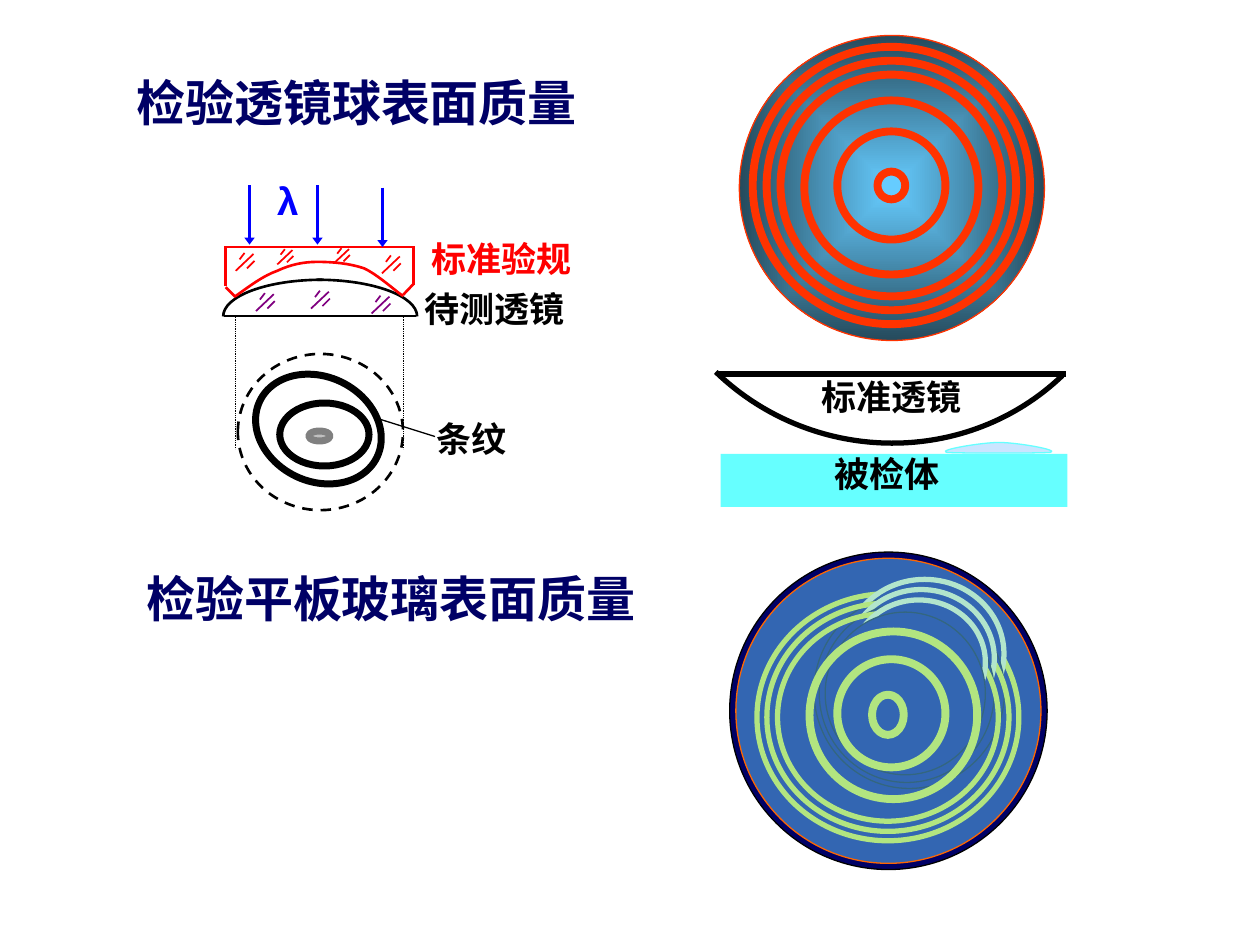
import copy
from dataclasses import dataclass

import pptx
import pptx.dml.color
import pptx.enum.dml
import pptx.enum.shapes
import pptx.enum.text
import pptx.oxml
import pptx.oxml.ns
import pptx.util
from lxml import etree

Cm = pptx.util.Cm
Pt = pptx.util.Pt
qn = pptx.oxml.ns.qn
Align = pptx.enum.text.PP_ALIGN
Anchor = pptx.enum.text.MSO_ANCHOR
Preset = pptx.enum.shapes.MSO_SHAPE
Dash = pptx.enum.dml.MSO_LINE


@dataclass(frozen=True)
class Theme:
    navy: str = "000066"
    black: str = "000000"
    red: str = "FF0000"
    blue: str = "0000FF"
    purple: str = "800080"
    ring: str = "FF3300"
    sky: str = "66CCFF"
    deep: str = "254A5C"
    yellow: str = "FFFF00"
    pale: str = "FFFF99"
    orange: str = "FF6600"
    aqua: str = "66FFFF"
    mist: str = "99CCFF"
    silver: str = "C0C0C0"
    gray: str = "808080"
    heading: int = 28
    symbol: int = 22
    label: int = 20
    heading_font: str = "Noto Sans CJK SC"
    label_font: str = "Times New Roman"
    symbol_font: str = "Arial"


THEME = Theme()
ROOMY = (0.25, 0.13)
HATCH = [(0.18, -0.36, 0.08, -0.23), (0.36, -0.34, 0, 0), (0.38, -0.2, 0.23, -0.05)]


def rgb(color):
    return pptx.dml.color.RGBColor.from_string(color)


def style_line(line, color, width, dash=None):
    line.color.rgb = rgb(color)
    line.width = Pt(width)
    if dash is not None:
        line.dash_style = dash


def style_fill(shape, color, alpha=None):
    if color is None:
        shape.fill.background()
        return
    shape.fill.solid()
    shape.fill.fore_color.rgb = rgb(color)
    if alpha is not None:
        tint = shape._element.spPr.find(qn("a:solidFill")).find(qn("a:srgbClr"))
        etree.SubElement(tint, qn("a:alpha")).set("val", str(alpha * 1000))


def add_ellipse(shapes, center, size, color, width, fill=None, alpha=None, dash=None):
    (x, y), (w, h) = center, size
    ellipse = shapes.add_shape(Preset.OVAL, Cm(x - w / 2), Cm(y - h / 2), Cm(w), Cm(h))
    ellipse.shadow.inherit = False
    style_fill(ellipse, fill, alpha)
    style_line(ellipse.line, color, width, dash)
    return ellipse


def add_line(shapes, start, end, color, width, dash=None, arrow=False):
    straight = pptx.enum.shapes.MSO_CONNECTOR.STRAIGHT
    line = shapes.add_connector(straight, *map(Cm, (*start, *end)))
    style_line(line.line, color, width, dash)
    properties = line._element.spPr
    if arrow:
        head = etree.SubElement(properties.find(qn("a:ln")), qn("a:tailEnd"))
        head.set("type", "triangle")
        head.set("len", "sm")
    etree.SubElement(properties, qn("a:effectLst"))
    return line


def bend_segments(outline, count):
    corners = outline.findall(qn("a:lnTo"))
    for first in range(0, 3 * count, 3):
        bend = etree.Element(qn("a:cubicBezTo"))
        corners[first].addprevious(bend)
        for corner in corners[first:first + 3]:
            bend.append(corner[0])
            outline.remove(corner)


def split_sector(sector):
    arc = copy.deepcopy(sector)
    for tag in ("a:lnTo", "a:close"):
        arc.remove(arc.find(qn(tag)))
    arc.set("fill", "none")
    sector.set("stroke", "0")
    sector.addprevious(arc)


def add_curve(shapes, start, bends, color, width, fill=None, alpha=None, apex=None):
    points = [point for bend in bends for point in bend] + ([apex] if apex else [])
    builder = shapes.build_freeform(Cm(start[0]), Cm(start[1]))
    builder.add_line_segments([(Cm(x), Cm(y)) for x, y in points],
                              close=bool(fill or apex))
    curve = builder.convert_to_shape()
    curve.shadow.inherit = False
    style_fill(curve, fill, alpha)
    style_line(curve.line, color, width)
    outline = next(curve._element.spPr.iter(qn("a:path")))
    bend_segments(outline, len(bends))
    if apex:
        split_sector(outline)
    return curve


def write_text(box, text, size, color, font, align, inset, anchor, wrap=True):
    frame = box.text_frame
    frame.word_wrap = wrap
    frame.vertical_anchor = anchor
    frame.margin_left = frame.margin_right = Cm(inset[0])
    frame.margin_top = frame.margin_bottom = Cm(inset[1])
    frame.text = text
    paragraph = frame.paragraphs[0]
    paragraph.alignment = align
    paragraph.font.size = Pt(size)
    paragraph.font.name = font
    paragraph.font.bold = True
    paragraph.font.color.rgb = rgb(color)


def add_label(shapes, text, place, color=THEME.black, size=THEME.label, font=THEME.label_font,
              align=Align.JUSTIFY, inset=(0.03, 0.03), anchor=Anchor.TOP, wrap=True):
    label = shapes.add_textbox(*map(Cm, place))
    write_text(label, text, size, color, font, align, inset, anchor, wrap)
    return label


def write_heading(box, text):
    write_text(box, text, THEME.heading, THEME.navy, THEME.heading_font,
               Align.JUSTIFY, ROOMY, Anchor.MIDDLE)


def draw_spherical_fringes(shapes):
    disc = add_ellipse(shapes, (17.98, 3.79), (6.15, 6.15), THEME.ring, 0.75)
    disc.fill.gradient()
    for stop, position, color in zip(disc.fill.gradient_stops, (0, 1), (THEME.sky, THEME.deep)):
        stop.position = position
        stop.color.rgb = rgb(color)
    gradient = disc._element.spPr.find(qn("a:gradFill"))
    gradient.replace(gradient.find(qn("a:lin")), pptx.oxml.parse_xml(
        '<a:path xmlns:a="http://schemas.openxmlformats.org/drawingml/2006/main" path="rect">'
        '<a:fillToRect l="50000" t="50000" r="50000" b="50000"/></a:path>'))
    for diameter, y in [(3.51, 3.78), (4.47, 3.74), (5.03, 3.74), (5.59, 3.74), (2.18, 3.74)]:
        add_ellipse(shapes, (17.97, y), (diameter, diameter), THEME.ring, 4.5)
    add_ellipse(shapes, (17.97, 3.74), (0.56, 0.56), THEME.ring, 4.5, THEME.sky)


def draw_lens_on_plate(shapes):
    bowl = add_curve(shapes, (15.44, 9.93),
                     [((15.47, 9.93), (15.5, 9.93), (15.52, 9.93)),
                      ((18.21, 9.93), (20.45, 7.85), (20.6, 5.22))],
                     THEME.black, 3, apex=(15.49, 4.93))
    bowl.rotation = 43
    add_line(shapes, (14.5, 7.54), (21.49, 7.54), THEME.black, 3)
    plate = shapes.add_shape(Preset.RECTANGLE, Cm(14.53), Cm(9.15), Cm(6.99), Cm(1.07))
    plate.shadow.inherit = False
    style_fill(plate, THEME.aqua)
    plate.line.fill.background()
    add_label(shapes, "标准透镜", (15.47, 7.44, 5, 1.12), align=Align.CENTER,
              inset=ROOMY, anchor=Anchor.MIDDLE)
    add_label(shapes, "被检体", (16.57, 8.99, 2.62, 1.12), align=Align.LEFT,
              inset=ROOMY, anchor=Anchor.MIDDLE, wrap=False)
    add_curve(shapes, (19.08, 9.12),
              [((19.25, 9.14), (21.01, 9.14), (21.18, 9.12)),
               ((21.36, 9.07), (20.5, 8.92), (20.14, 8.92)),
               ((19.79, 8.92), (18.9, 9.07), (19.08, 9.12))],
              THEME.aqua, 0.75, THEME.mist, 50)


def draw_flat_fringes(shapes):
    middle = (17.91, 14.33)
    add_ellipse(shapes, middle, (6.4, 6.4), THEME.black, 0.75, THEME.navy)
    add_ellipse(shapes, (17.48, 14.48), (0.56, 0.56), THEME.yellow, 4.5, THEME.sky)
    bent_fringes = [
        ((5.28, 4.98), (18.64, 13.18), (3.2, 3.0), (18.33, 13.94), (3.84, 3.91)),
        ((4.88, 4.6), (18.57, 13.27), (2.95, 2.77), (18.28, 13.97), (3.53, 3.61)),
        ((4.45, 4.19), (18.52, 13.35), (2.69, 2.51), (18.25, 13.98), (3.23, 3.28)),
    ]
    for ring, bulge_center, bulge, mask_center, mask in bent_fringes:
        add_ellipse(shapes, (17.9, 14.46), ring, THEME.yellow, 3)
        add_ellipse(shapes, bulge_center, bulge, THEME.pale, 3, THEME.navy)
        add_ellipse(shapes, mask_center, mask, THEME.black, 0.75, THEME.navy)
    for center, size in [((17.97, 14.38), (2.18, 2.18)), ((18.01, 14.42), (3.38, 3.38)),
                         ((17.9, 14.41), (0.64, 0.81))]:
        add_ellipse(shapes, center, size, THEME.yellow, 4.5)
    add_ellipse(shapes, middle, (6.15, 6.15), THEME.orange, 0.75, THEME.sky, 50)


def draw_hatch(shapes, x, y, color, scale=1):
    for mark in HATCH:
        x1, y1, x2, y2 = (scale * offset for offset in mark)
        add_line(shapes, (x + x1, y + y1), (x + x2, y + y2), color, 1)


def draw_gauge_and_lens(shapes):
    for top, bend in [((6.5, 5.64), ((5.38, 5.64), (4.5, 5.97), (4.5, 6.38))),
                      ((6.4, 5.64), ((7.52, 5.64), (8.41, 5.97), (8.41, 6.38)))]:
        add_curve(shapes, top, [bend], THEME.black, 1.5, apex=(top[0], 6.38))
    add_line(shapes, (4.52, 6.37), (8.38, 6.37), THEME.black, 1.5)
    for start, end in [((4.55, 5), (4.55, 5.77)), ((8.34, 4.98), (8.34, 5.74)),
                       ((4.52, 4.98), (8.36, 4.98)), ((4.55, 5.79), (4.75, 5.99)),
                       ((8.34, 5.72), (8.13, 5.94))]:
        add_line(shapes, start, end, THEME.red, 1.5)
    for x, y, color, scale in [(4.75, 5.46, THEME.red, 1), (7.7, 5.51, THEME.red, 1),
                               (5.59, 5.33, THEME.red, 0.85), (6.73, 5.31, THEME.red, 0.85),
                               (5.16, 6.27, THEME.purple, 1), (6.27, 6.22, THEME.purple, 1),
                               (7.49, 6.32, THEME.purple, 1)]:
        draw_hatch(shapes, x, y, color, scale)
    for x, y in [(6.4, 3.73), (5.03, 3.73), (7.71, 3.78)]:
        add_line(shapes, (x, y), (x, y + 1.2), THEME.blue, 1.5, arrow=True)
    add_curve(shapes, (4.75, 5.97),
              [((5.03, 5.77), (5.31, 5.56), (5.59, 5.46)),
               ((5.87, 5.33), (6.12, 5.28), (6.4, 5.28)),
               ((6.71, 5.28), (7.04, 5.31), (7.34, 5.41)),
               ((7.62, 5.54), (8, 5.89), (8.13, 5.97))], THEME.red, 1.5)
    add_label(shapes, "标准验规", (8.66, 4.75, 3.28, 1.09), THEME.red)
    add_label(shapes, "待测透镜", (8.52, 5.77, 3.2, 0.91))
    add_label(shapes, "λ", (5.56, 3.53, 0.89, 0.89), THEME.blue, THEME.symbol, THEME.symbol_font)


def draw_observed_stripes(shapes):
    for x in (4.75, 8.13):
        add_line(shapes, (x, 6.35), (x, 9.05), THEME.black, 0.5, Dash.ROUND_DOT)
    add_ellipse(shapes, (6.46, 8.71), (3.33, 3.15), THEME.black, 1.5, dash=Dash.DASH)
    tilted = add_ellipse(shapes, (6.42, 8.65), (2.62, 2.11), THEME.black, 4)
    tilted.rotation = 25.4
    add_ellipse(shapes, (6.54, 8.76), (1.8, 1.27), THEME.black, 4)
    add_ellipse(shapes, (6.44, 8.79), (0.43, 0.2), THEME.gray, 4, THEME.silver)
    stripes = add_label(shapes, "条纹", (8.77, 8.38, 2.11, 0.84))
    leader = add_line(shapes, (7.59, 8.43), (8.77, 8.8), THEME.black, 0.75)
    leader.end_connect(stripes, 1)


def main():
    deck = pptx.Presentation()
    deck.slide_width, deck.slide_height = Cm(25.4), Cm(19.05)
    shapes = deck.slides.add_slide(deck.slide_layouts[5]).shapes
    title = shapes.title
    title.left, title.top, title.width, title.height = map(Cm, (2.5, 1.32, 12.5, 1.45))
    write_heading(title, "检验透镜球表面质量")
    draw_spherical_fringes(shapes)
    draw_lens_on_plate(shapes)
    draw_flat_fringes(shapes)
    draw_gauge_and_lens(shapes)
    draw_observed_stripes(shapes)
    flat_heading = shapes.add_textbox(*map(Cm, (2.7, 11.33, 12.5, 1.45)))
    write_heading(flat_heading, "检验平板玻璃表面质量")
    deck.save("out.pptx")


if __name__ == "__main__":
    main()
